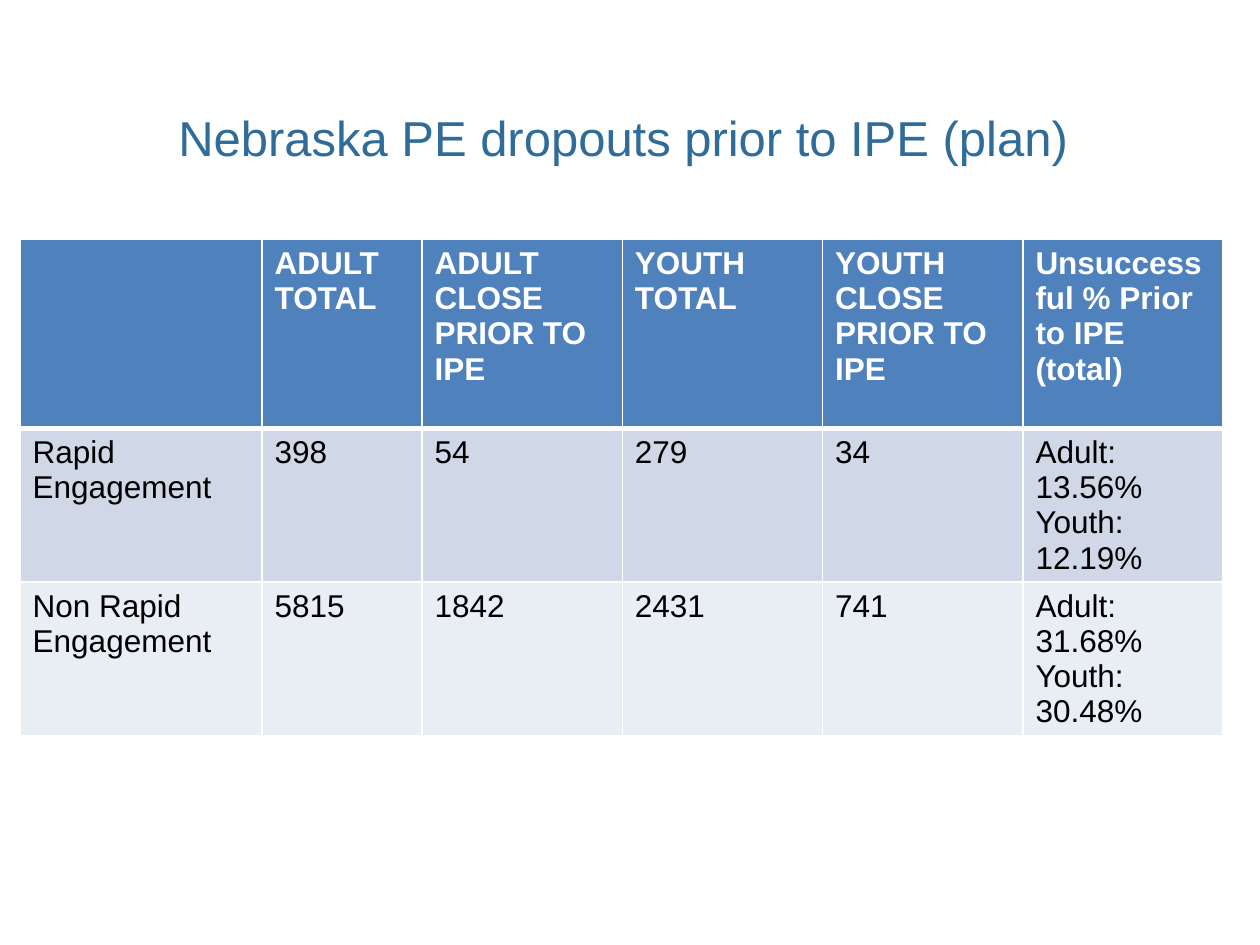
from lxml import etree
from pptx import Presentation
from pptx.dml.color import RGBColor
from pptx.enum.text import MSO_ANCHOR, PP_ALIGN
from pptx.oxml.ns import qn
from pptx.util import Inches, Pt

CENTER, LEFT = PP_ALIGN.CENTER, PP_ALIGN.LEFT
TOP = MSO_ANCHOR.TOP

TITLE_BLUE = RGBColor(0x30, 0x6C, 0x99)
HEADER_BLUE = RGBColor(0x4F, 0x81, 0xBD)
BAND_DARK = RGBColor(0xD0, 0xD8, 0xE8)
BAND_LIGHT = RGBColor(0xE9, 0xED, 0xF4)
WHITE = RGBColor(0xFF, 0xFF, 0xFF)
BLACK = RGBColor(0x00, 0x00, 0x00)

TITLE = "Nebraska PE dropouts prior to IPE (plan)"
ROWS = [
    ["", "ADULT TOTAL", "ADULT CLOSE PRIOR TO IPE", "YOUTH TOTAL",
     "YOUTH CLOSE PRIOR TO IPE", "Unsuccessful % Prior to IPE (total)"],
    ["Rapid Engagement", "398", "54", "279", "34",
     "Adult: 13.56%\nYouth: 12.19%"],
    ["Non Rapid Engagement", "5815", "1842", "2431", "741",
     "Adult: 31.68%\nYouth: 30.48%"],
]
COL_WIDTHS = [1.92, 1.27] + [1.59] * 4
ROW_HEIGHTS = [1.5, 1.22, 1.22]
ROW_FILLS = [HEADER_BLUE, BAND_DARK, BAND_LIGHT]


def write(tf, text, size=18, color=BLACK, bold=False, align=LEFT):
    tf.text = text
    for p in tf.paragraphs:
        p.alignment = align
        p.font.size = Pt(size)
        for r in p.runs:
            r.font.name = "Arial"
            r.font.size = Pt(size)
            r.font.bold = bold
            r.font.color.rgb = color


def set_borders(cell, **widths):
    """Draw white cell borders; widths in points, keyed L, R, T, B."""
    tcPr = cell._tc.get_or_add_tcPr()
    for i, (side, width) in enumerate(widths.items()):
        ln = etree.Element(qn(f"a:ln{side}"), w=str(Pt(width)))
        fill = etree.SubElement(ln, qn("a:solidFill"))
        etree.SubElement(fill, qn("a:srgbClr"), val=str(WHITE))
        tcPr.insert(i, ln)


prs = Presentation()
prs.slide_width, prs.slide_height = Inches(10), Inches(7.5)
slide = prs.slides.add_slide(prs.slide_layouts[5])

title = slide.shapes.title
title.left, title.top = Inches(0.28), Inches(0.8)
title.width, title.height = Inches(9.33), Inches(1.25)
title.text_frame.vertical_anchor = TOP
write(title.text_frame, TITLE, size=28, color=TITLE_BLUE, align=CENTER)

table = slide.shapes.add_table(
    len(ROWS), len(COL_WIDTHS), Inches(0.16), Inches(1.9),
    Inches(sum(COL_WIDTHS)), Inches(sum(ROW_HEIGHTS))).table
for col, width in zip(table.columns, COL_WIDTHS):
    col.width = Inches(width)

for i, (texts, height, fill) in enumerate(zip(ROWS, ROW_HEIGHTS, ROW_FILLS)):
    table.rows[i].height = Inches(height)
    header = i == 0
    for j, text in enumerate(texts):
        cell = table.cell(i, j)
        cell.fill.solid()
        cell.fill.fore_color.rgb = fill
        write(cell.text_frame, text, color=WHITE if header else BLACK, bold=header)
        set_borders(cell, L=1, R=1, T=3 if i == 1 else 1, B=3 if header else 1)

prs.save("out.pptx")
